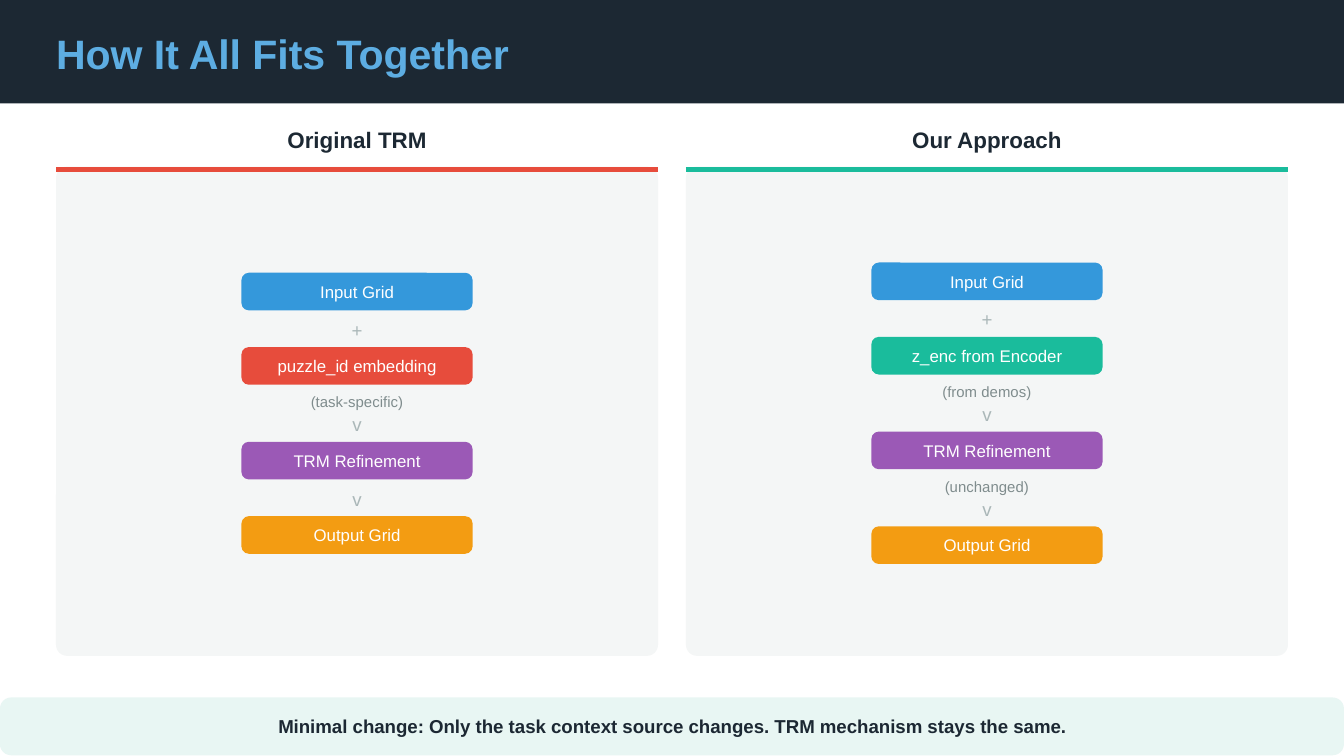
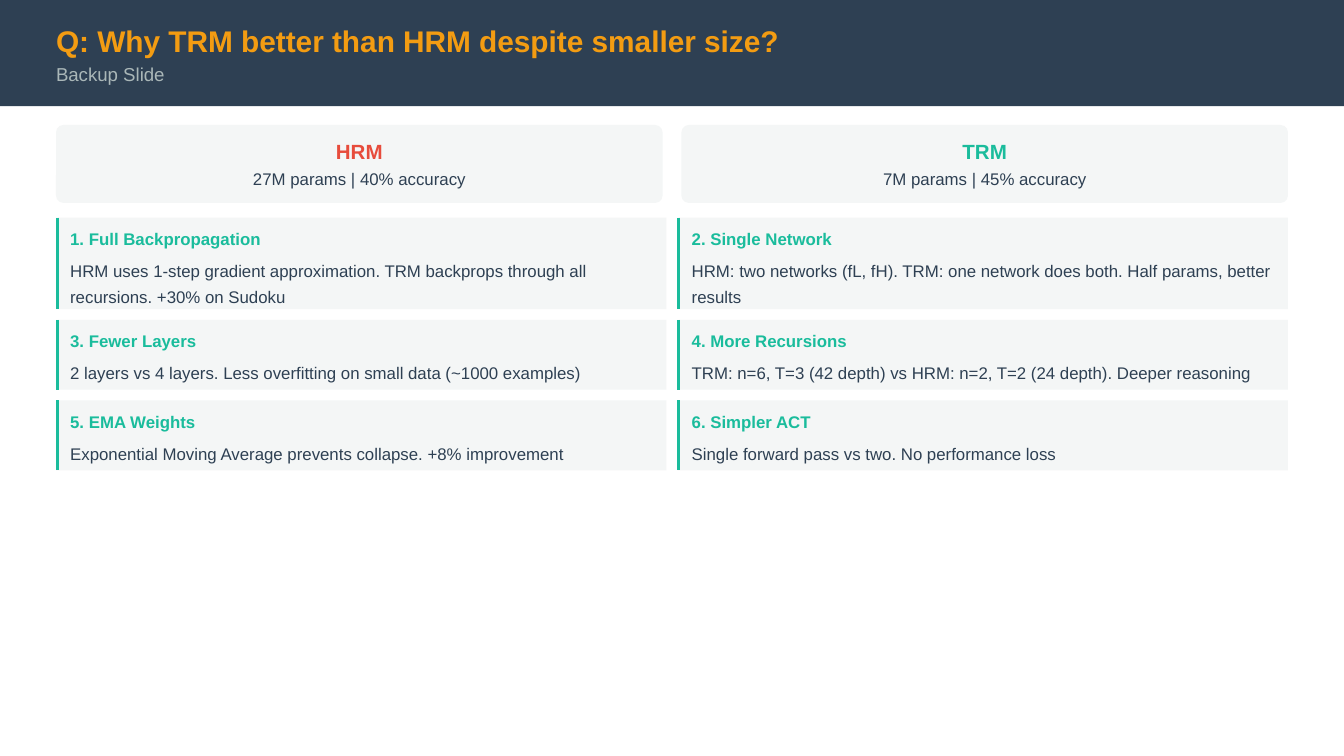
from lxml.etree import SubElement
from pptx import Presentation
from pptx.dml.color import RGBColor
from pptx.enum.shapes import MSO_CONNECTOR, MSO_SHAPE
from pptx.enum.text import MSO_ANCHOR, PP_ALIGN
from pptx.oxml.ns import qn
from pptx.util import Inches, Pt

# All lengths are cells of a square grid, 100 columns across the slide.
COLUMNS, ROWS = 100, 56.25
CELL = Inches(0.1)
MARGIN = 4.17

COLORS = {
    "ink": "1C2833", "slate": "2E4053", "sky": "5DADE2", "blue": "3498DB",
    "red": "E74C3C", "teal": "1ABC9C", "purple": "9B59B6", "orange": "F39C12",
    "silver": "AAB7B8", "gray": "7F8C8D", "panel": "F4F6F6", "mint": "E8F6F3",
    "white": "FFFFFF",
}

STYLES = {
    "title": {"size": 22, "bold": True, "color": "sky"},
    "question": {"size": 16, "bold": True, "color": "orange"},
    "subtitle": {"size": 10, "color": "silver"},
    "column": {"size": 12, "bold": True, "color": "ink", "alignment": PP_ALIGN.CENTER},
    "step": {"size": 9, "color": "white", "alignment": PP_ALIGN.CENTER},
    "sign": {"size": 10, "color": "silver", "alignment": PP_ALIGN.CENTER},
    "note": {"size": 8, "color": "gray", "alignment": PP_ALIGN.CENTER},
    "takeaway": {"size": 10, "bold": True, "color": "ink", "alignment": PP_ALIGN.CENTER},
    "model": {"size": 11, "bold": True, "alignment": PP_ALIGN.CENTER},
    "figures": {"size": 9, "color": "slate", "alignment": PP_ALIGN.CENTER,
                "space_before": Pt(2.5)},
    "reason": {"size": 9, "bold": True, "color": "teal"},
    "detail": {"size": 9, "color": "slate", "line_spacing": 1.3,
               "space_before": Pt(3.3)},
}

# Each flow step: label, colour, note under it, sign leading to the next step.
FLOWS = [
    ("Original TRM", "red", [
        ("Input Grid", "blue", "", "+"),
        ("puzzle_id embedding", "red", "(task-specific)", "v"),
        ("TRM Refinement", "purple", "", "v"),
        ("Output Grid", "orange", "", ""),
    ]),
    ("Our Approach", "teal", [
        ("Input Grid", "blue", "", "+"),
        ("z_enc from Encoder", "teal", "(from demos)", "v"),
        ("TRM Refinement", "purple", "(unchanged)", "v"),
        ("Output Grid", "orange", "", ""),
    ]),
]

MODELS = [
    ("HRM", "red", "27M params | 40% accuracy"),
    ("TRM", "teal", "7M params | 45% accuracy"),
]

# Each row of reasons: height, then the pair of heading and detail.
REASON_ROWS = [
    (6.8, [
        ("1. Full Backpropagation",
         "HRM uses 1-step gradient approximation. TRM backprops through all "
         "recursions. +30% on Sudoku"),
        ("2. Single Network",
         "HRM: two networks (fL, fH). TRM: one network does both. Half params, "
         "better results"),
    ]),
    (5.2, [
        ("3. Fewer Layers",
         "2 layers vs 4 layers. Less overfitting on small data (~1000 examples)"),
        ("4. More Recursions",
         "TRM: n=6, T=3 (42 depth) vs HRM: n=2, T=2 (24 depth). Deeper reasoning"),
    ]),
    (5.2, [
        ("5. EMA Weights",
         "Exponential Moving Average prevents collapse. +8% improvement"),
        ("6. Simpler ACT", "Single forward pass vs two. No performance loss"),
    ]),
]


def cells(*values):
    return [round(value * CELL) for value in values]


def rgb(name):
    return RGBColor.from_string(COLORS[name])


def halves(gap):
    """Return the left edges and the width of two equal columns."""
    width = (COLUMNS - 2 * MARGIN - gap) / 2
    return [MARGIN, MARGIN + width + gap], width


class Deck:
    """Holds the presentation, its style and the current slide."""

    def __init__(self):
        self.presentation = Presentation()
        self.presentation.slide_width, self.presentation.slide_height = cells(COLUMNS, ROWS)
        self.slide = None

    def new_slide(self, band_height, band_color, headings):
        self.slide = self.presentation.slides.add_slide(self.presentation.slide_layouts[6])
        self.block(0, 0, COLUMNS, band_height, band_color)
        for text, style, top, height in headings:
            self.text(MARGIN, top, 93.5, height, text, style)

    def fill_text(self, shape, lines, anchor=MSO_ANCHOR.MIDDLE, inset=(0, 0), wrap=True):
        """Fill a shape with (text, style, overrides) lines; inset is left and top."""
        frame = shape.text_frame
        left, top = cells(*inset)
        settings = {"margin_left": left, "margin_top": top, "margin_right": 0,
                    "margin_bottom": 0, "vertical_anchor": anchor, "word_wrap": wrap}
        for name, value in settings.items():
            setattr(frame, name, value)
        for index, (text, style, overrides) in enumerate(lines):
            paragraph = frame.add_paragraph() if index else frame.paragraphs[0]
            run = paragraph.add_run()
            run.text = text
            run.font.name = "Arial"
            values = {"alignment": PP_ALIGN.LEFT, **STYLES[style], **overrides}
            for name, value in values.items():
                if name == "color":
                    run.font.color.rgb = rgb(value)
                elif name == "size":
                    run.font.size = Pt(value)
                else:
                    setattr(run.font if name == "bold" else paragraph, name, value)

    def text(self, left, top, width, height, text, style, wrap=True):
        box = self.slide.shapes.add_textbox(*cells(left, top, width, height))
        self.fill_text(box, [(text, style, {})], MSO_ANCHOR.TOP, wrap=wrap)

    def block(self, left, top, width, height, color, radius=0):
        kind = MSO_SHAPE.ROUNDED_RECTANGLE if radius else MSO_SHAPE.RECTANGLE
        shape = self.slide.shapes.add_shape(kind, *cells(left, top, width, height))
        if radius:
            shape.adjustments[0] = radius / min(width, height)
        shape.shadow.inherit = False
        shape.fill.solid()
        shape.fill.fore_color.rgb = rgb(color)
        shape.line.fill.background()
        return shape

    def rule(self, start, end, color, weight):
        line = self.slide.shapes.add_connector(
            MSO_CONNECTOR.STRAIGHT, *cells(*start, *end))
        line.line.color.rgb = rgb(color)
        line.line.width = Pt(weight)
        SubElement(line._element.spPr, qn("a:effectLst"))

    def flow(self, center, middle, steps):
        """Stack steps with their notes and signs, centred on a point."""
        width, height, plain_pitch, note_extra = 17.2, 2.8, 5.53, 1.52
        notes = sum(1 for step in steps if step[2])
        total = (len(steps) - 1) * plain_pitch + notes * note_extra + height
        top = middle - total / 2
        for label, color, note, sign in steps:
            box = self.block(center - width / 2, top, width, height, color, 0.55)
            self.fill_text(box, [(label, "step", {})])
            extra = note_extra if note else 0
            if note:
                self.text(center - 3.5, top + 3.4, 7, 1.2, note, "note", wrap=False)
            if sign:
                self.text(center - 0.4, top + 3.4 + extra, 0.8, 1.6, sign, "sign", wrap=False)
            top += plain_pitch + extra

    def reason(self, left, top, width, height, heading, detail):
        card = self.block(left, top, width, height, "panel")
        self.fill_text(card, [(heading, "reason", {}), (detail, "detail", {})],
                       MSO_ANCHOR.TOP, inset=(1.05, 0.8))
        self.rule((left + 0.1, top), (left + 0.1, top + height), "teal", 1.5)


def add_comparison_slide(deck):
    deck.new_slide(7.7, "ink", [("How It All Fits Together", "title", 2.1, 3.5)])
    lefts, width = halves(gap=2.08)
    for left, (heading, color, steps) in zip(lefts, FLOWS):
        deck.text(left, 9.4, width, 1.9, heading, "column")
        deck.block(left, 12.4, width, 36.4, "panel", 0.83)
        deck.rule((left, 12.6), (left + width, 12.6), color, 3)
        deck.flow(left + width / 2, 30.75, steps)
    footer = deck.block(0, 51.9, COLUMNS, 4.3, "mint", 0.83)
    deck.fill_text(footer, [("Minimal change: Only the task context source changes. "
                             "TRM mechanism stays the same.", "takeaway", {})])


def add_question_slide(deck):
    deck.new_slide(7.9, "slate", [
        ("Q: Why TRM better than HRM despite smaller size?", "question", 1.7, 2.6),
        ("Backup Slide", "subtitle", 4.7, 1.6),
    ])
    lefts, width = halves(gap=1.4)
    for left, (model, color, figures) in zip(lefts, MODELS):
        card = deck.block(left, 9.3, width, 5.8, "panel", 0.55)
        deck.fill_text(card, [(model, "model", {"color": color}), (figures, "figures", {})])

    lefts, width = halves(gap=0.83)
    top = 16.2
    for height, reasons in REASON_ROWS:
        for left, (heading, detail) in zip(lefts, reasons):
            deck.reason(left, top, width, height, heading, detail)
        top += height + 0.8


def main():
    deck = Deck()
    add_comparison_slide(deck)
    add_question_slide(deck)
    deck.presentation.save("out.pptx")


if __name__ == "__main__":
    main()
